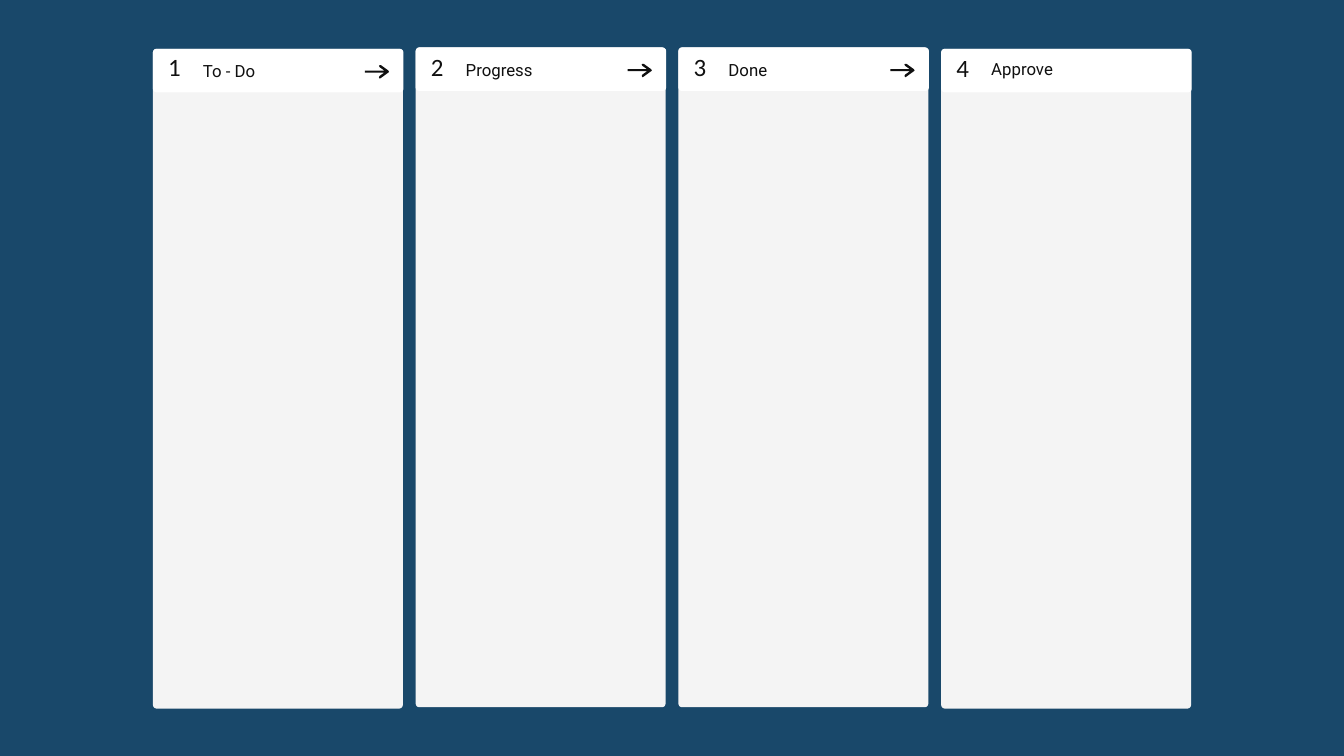
from pptx import Presentation
from pptx.dml.color import RGBColor
from pptx.enum.shapes import MSO_SHAPE as SHAPE
from pptx.enum.text import MSO_ANCHOR as ANCHOR, PP_ALIGN as ALIGN
from pptx.util import Inches, Pt

ARROW = [(0.35, 0.08), (0.24, 0), (0.22, 0), (0.21, 0.01), (0.22, 0.03),
         (0.29, 0.08), (0, 0.08), (0, 0.11), (0.29, 0.11), (0.22, 0.16),
         (0.21, 0.18), (0.22, 0.2), (0.24, 0.19), (0.35, 0.11), (0.36, 0.1)]
COLUMNS = [("To - Do", 0.74, 0.86, 0.86), ("Progress", 0.72, 0.84, 0.85),
           ("Done", 0.72, 0.84, 0.85), ("Approve", 0.74, 0.83, 0.87)]
LEFT, STEP = 2.29, 3.91


def color(value):
    return RGBColor.from_string(value)


def write(tf, text, font, size, spacing, ink, align=ALIGN.LEFT):
    p = tf.paragraphs[0]
    p.alignment = align
    p.line_spacing = Pt(spacing)
    r = p.add_run()
    r.text = text
    r.font.name = font
    r.font.size = Pt(size)
    r.font.color.rgb = color(ink)


class Board:
    """Kanban board style together with the slide it is drawn on."""

    back, body, header, ink = "19486A", "F4F4F4", "FFFFFF", "101010"

    def __init__(self, slide):
        self.s = slide
        fill = slide.background.fill
        fill.solid()
        fill.fore_color.rgb = color(self.back)

    def paint(self, sp, fill):
        sp.shadow.inherit = False
        sp.fill.solid()
        sp.fill.fore_color.rgb = color(fill)
        sp.line.fill.background()

    def panel(self, x, y, w, h, fill):
        sp = self.s.shapes.add_shape(SHAPE.ROUNDED_RECTANGLE, Inches(x), Inches(y), Inches(w), Inches(h))
        sp.adjustments[0] = 0.04 / min(w, h)
        self.paint(sp, fill)
        sp.line.color.rgb = color(fill)
        sp.line.width = Pt(2)

    def arrow(self, x, y):
        points = [(Inches(x + dx), Inches(y + dy)) for dx, dy in ARROW]
        builder = self.s.shapes.build_freeform(*points[0])
        builder.add_line_segments(points[1:], close=True)
        self.paint(builder.convert_to_shape(), self.ink)

    def text(self, x, y, w, h, text, **style):
        tf = self.s.shapes.add_textbox(Inches(x), Inches(y), Inches(w), Inches(h)).text_frame
        tf.margin_left = tf.margin_right = tf.margin_top = tf.margin_bottom = 0
        tf.word_wrap = True
        tf.vertical_anchor = ANCHOR.TOP
        write(tf, text, ink=self.ink, **style)


def main():
    prs = Presentation()
    prs.slide_width, prs.slide_height = Inches(20), Inches(11.25)
    board = Board(prs.slides.add_slide(prs.slide_layouts[6]))
    for i, (title, top, title_top, number_top) in enumerate(COLUMNS):
        x = LEFT + i * STEP
        board.panel(x, top, 3.69, 9.79, board.body)
        board.panel(x, top, 3.7, 0.62, board.header)
        if i < len(COLUMNS) - 1:
            board.arrow(x + 3.14, top + 0.23)
        board.text(x + 0.73, title_top, 1.39, 0.37, title, font="Roboto", size=18, spacing=25.2)
        board.text(x + 0.16, number_top, 0.29, 0.42, str(i + 1), font="Calibri", size=26.7,
                   spacing=25.6, align=ALIGN.CENTER)
    prs.save("out.pptx")


if __name__ == "__main__":
    main()
